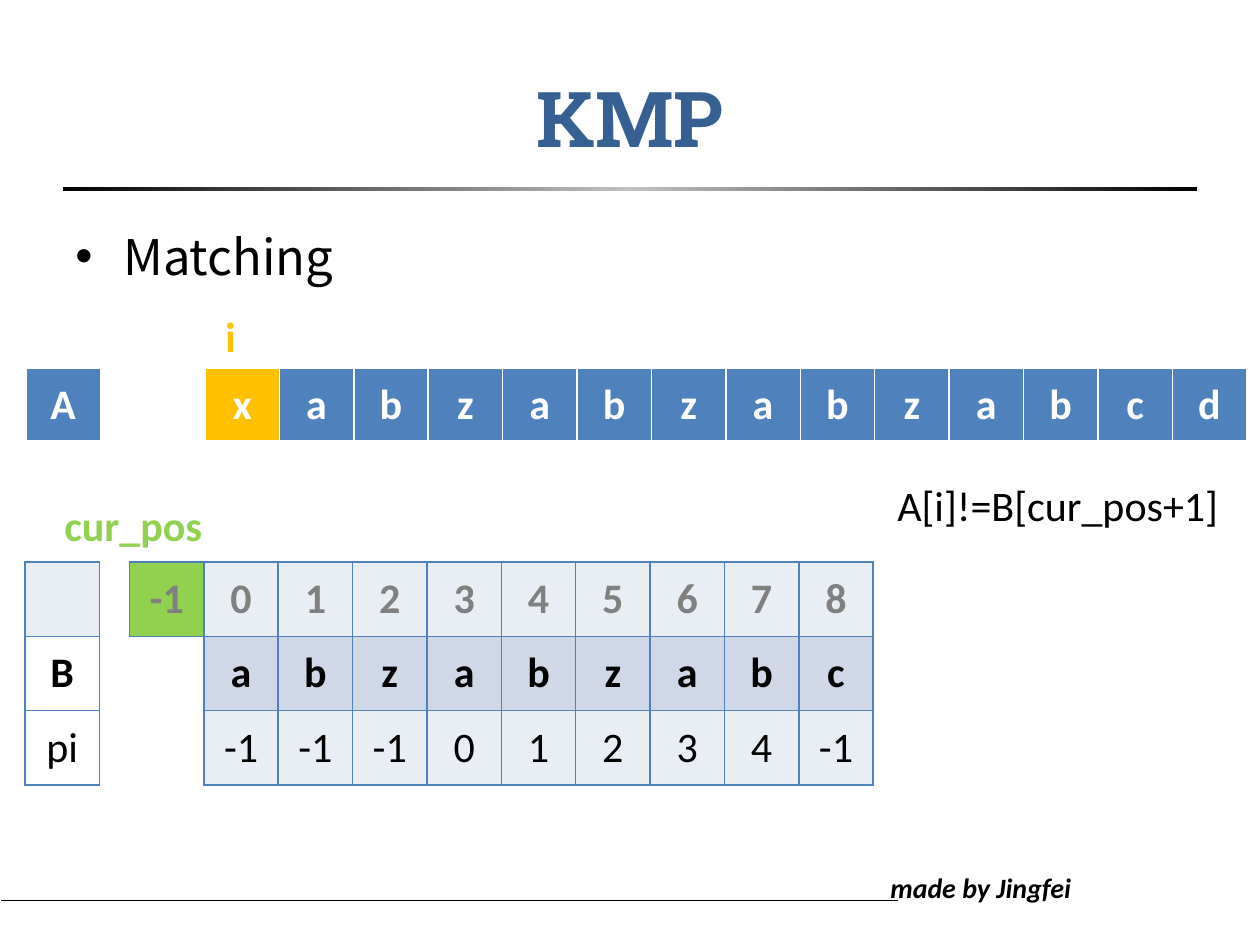
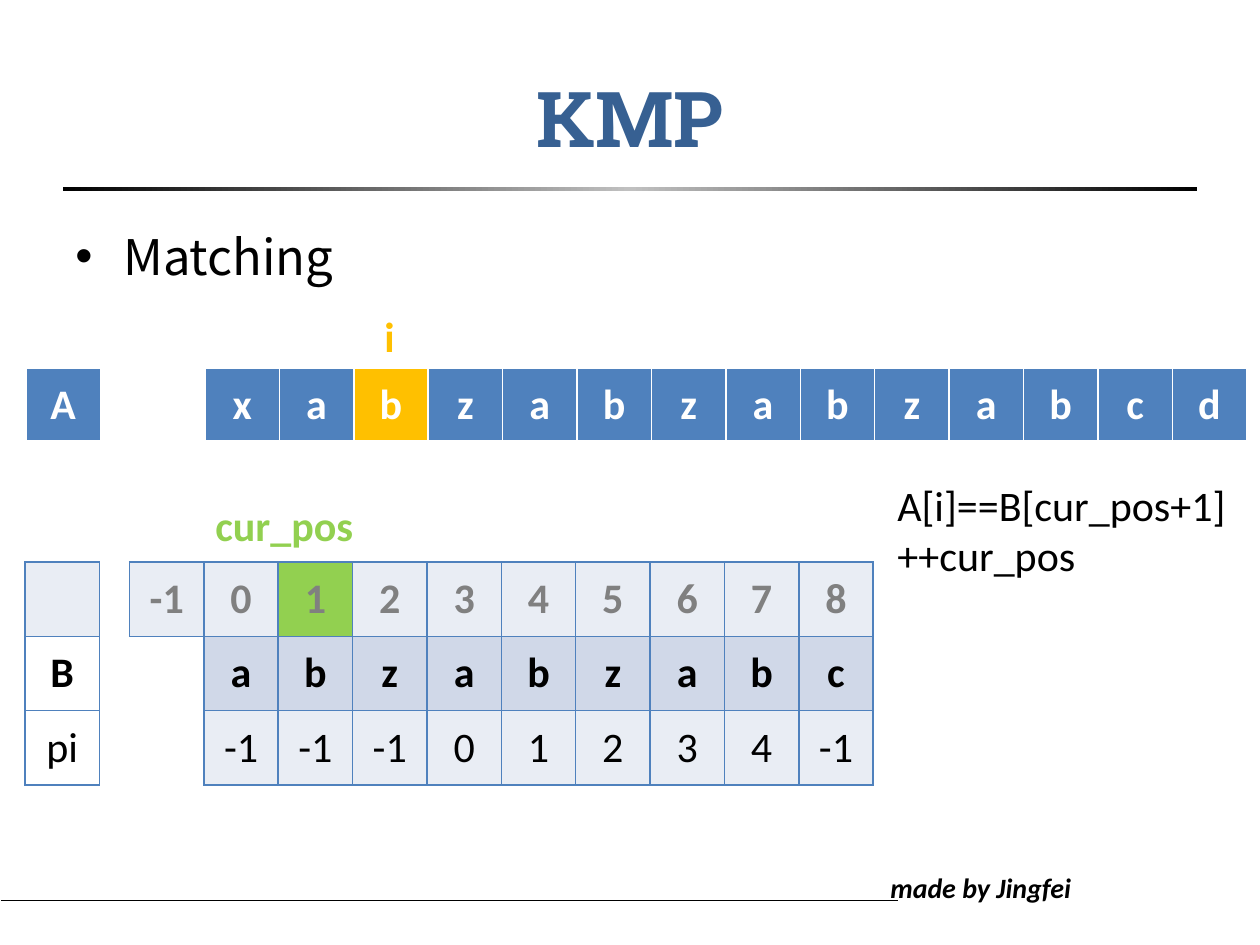
from copy import deepcopy

from lxml.etree import SubElement
from pptx import Presentation
from pptx.dml.color import RGBColor
from pptx.enum.shapes import MSO_CONNECTOR, MSO_SHAPE
from pptx.enum.text import MSO_ANCHOR, PP_ALIGN
from pptx.oxml.ns import qn
from pptx.util import Pt

PX = 914400 / 126
COLORS = {
    "black": "000000", "white": "FFFFFF", "silver": "C0C0C0", "gray": "808080",
    "title": "376092", "blue": "4F81BD", "pale": "E9EDF4", "soft": "D0D8E8",
    "amber": "FFC000", "green": "92D050",
}
GAP = 29  # narrow column between row names and values

TEXT_A = ["A", None, None, *"xabzabzabzabcd"]
PATTERN = [
    ["", None, *map(str, range(-1, 9))],
    ["B", None, None, *"abzabzabc"],
    ["pi", None, None, "-1", "-1", "-1", "0", "1", "2", "3", "4", "-1"],
]
STEPS = [
    {"i": 0, "i_left": 213, "cur_pos": -1, "cur_left": 52,
     "code": ["A[i]!=B[cur_pos+1]"]},
    {"i": 2, "i_left": 372, "cur_pos": 1, "cur_left": 203,
     "code": ["A[i]==B[cur_pos+1]", "++cur_pos"]},
]


def emu(*lengths):
    return [round(length * PX) for length in lengths]


def rgb(name):
    return RGBColor.from_string(COLORS[name])


def write(frame, lines, size=24, font="Calibri", color="black", bold=False,
          italic=False, align=PP_ALIGN.LEFT, bullet=False):
    for number, line in enumerate(lines):
        para = frame.paragraphs[0] if number == 0 else frame.add_paragraph()
        para.alignment = align
        if bullet:
            props = para._p.get_or_add_pPr()
            indent = emu(48)[0]
            props.set("marL", str(indent))
            props.set("indent", str(-indent))
            SubElement(props, qn("a:buFont")).set("typeface", "Arial")
            SubElement(props, qn("a:buChar")).set("char", "•")
        span = para.add_run()
        span.text = line
        span.font.size, span.font.name = Pt(size), font
        span.font.bold, span.font.italic = bold, italic
        span.font.color.rgb = rgb(color)


def add_text(page, area, lines, anchor=MSO_ANCHOR.TOP, **style):
    box = page.shapes.add_textbox(*emu(*area))
    box.text_frame.word_wrap = True
    box.text_frame.vertical_anchor = anchor
    write(box.text_frame, lines, **style)


def set_borders(cell, borders):
    """Takes (colour or None, points) for left, right, top and bottom."""
    props = cell._tc.get_or_add_tcPr()
    for position, (side, (color, width)) in enumerate(zip("LRTB", borders)):
        line = SubElement(props, qn(f"a:ln{side}"), w=str(Pt(width)))
        if color:
            fill = SubElement(line, qn("a:solidFill"))
            SubElement(fill, qn("a:srgbClr"), val=COLORS[color])
        else:
            SubElement(line, qn("a:noFill"))
        props.insert(position, line)


def add_grid(page, area, rows, style_of, borders_of):
    """Draws a table; style_of gives (fill, text colour, bold) of a cell."""
    columns = len(rows[0])
    table = page.shapes.add_table(len(rows), columns, *emu(*area)).table
    table.first_row = table.horz_banding = False
    cell_width = (area[2] - GAP) / (columns - 1)
    for index, column in enumerate(table.columns):
        column.width = emu(GAP if index == 1 else cell_width)[0]
    for row, values in enumerate(rows):
        for col, value in enumerate(values):
            cell = table.cell(row, col)
            cell.vertical_anchor = MSO_ANCHOR.MIDDLE
            fill, color, bold = style_of(row, col)
            if value is None or fill is None:
                cell.fill.background()
            else:
                cell.fill.solid()
                cell.fill.fore_color.rgb = rgb(fill)
            if value:
                write(cell.text_frame, [value], color=color, bold=bold,
                      align=PP_ALIGN.CENTER)
            set_borders(cell, borders_of(row, col))


def text_row(page, area, i):
    def style_of(row, col):
        return "amber" if col == i + 3 else "blue", "white", True

    def borders_of(row, col):
        return [("white", 1)] * 3 + [("white", 3)]

    add_grid(page, area, [TEXT_A], style_of, borders_of)


def pattern_table(page, area, cur_pos):
    def style_of(row, col):
        if row == 0:
            return "green" if col == cur_pos + 3 else "pale", "gray", True
        fill = None if col == 0 else ("soft" if row == 1 else "pale")
        return fill, "black", row == 1

    def used(row, col):
        return (0 <= row < len(PATTERN) and 0 <= col < len(PATTERN[0])
                and PATTERN[row][col] is not None)

    def borders_of(row, col):
        # An edge shows when a used cell lies on either side of it
        neighbours = [(row, col - 1), (row, col + 1), (row - 1, col), (row + 1, col)]
        return [("blue" if used(row, col) or used(*other) else None, 1)
                for other in neighbours]

    add_grid(page, area, PATTERN, style_of, borders_of)


def footer(page, left, top):
    line = page.shapes.add_connector(
        MSO_CONNECTOR.STRAIGHT, *emu(left, top, left + 897, top))
    line.line.color.rgb = rgb("black")
    line.line.width = Pt(0.5)
    SubElement(line._element.spPr, qn("a:effectLst"))
    add_text(page, (left + 877, top - 36, 210, 47), ["made by Jingfei"],
             size=16, bold=True, italic=True)


def heading(page, left, top, width):
    # Band fading to silver in the middle
    band = page.shapes.add_shape(
        MSO_SHAPE.RECTANGLE, *emu(left, top + 149, width, 4))
    band.shadow.inherit = False
    band.line.fill.background()
    band.fill.gradient()
    band.fill.gradient_angle = 0
    stops = band._element.spPr.find(".//" + qn("a:gsLst"))
    stops.append(deepcopy(stops[0]))
    for stop, position, color in zip(band.fill.gradient_stops, (0, 0.5, 1),
                                     ("black", "silver", "black")):
        stop.position = position
        stop.color.rgb = rgb(color)
    add_text(page, (left, top, width, 158), ["KMP"], anchor=MSO_ANCHOR.MIDDLE,
             size=44, font="Roboto Slab", color="title", bold=True,
             align=PP_ALIGN.CENTER)


def matching_slide(deck, step):
    page = deck.slides.add_slide(deck.slide_layouts[6])
    footer(page, 1, 900)
    heading(page, 63, 38, 1134)
    add_text(page, (63, 220, 1197, 688), ["Matching"], size=28,
             font="Noto Sans CJK SC", bullet=True)
    # Text and pattern being compared
    text_row(page, (26, 368, 1220, 74), step["i"])
    pattern_table(page, (25, 562, 847, 223), step["cur_pos"])
    # Pointers and the comparison
    add_text(page, (885, 473, 375, 115), step["code"])
    add_text(page, (step["cur_left"], 493, 180, 63), ["cur_pos"],
             color="green", bold=True)
    add_text(page, (step["i_left"], 304, 37, 63), ["i"], color="amber", bold=True)


def main():
    deck = Presentation()
    deck.slide_width, deck.slide_height = emu(1260, 945)
    for step in STEPS:
        matching_slide(deck, step)
    deck.save("out.pptx")


if __name__ == "__main__":
    main()
